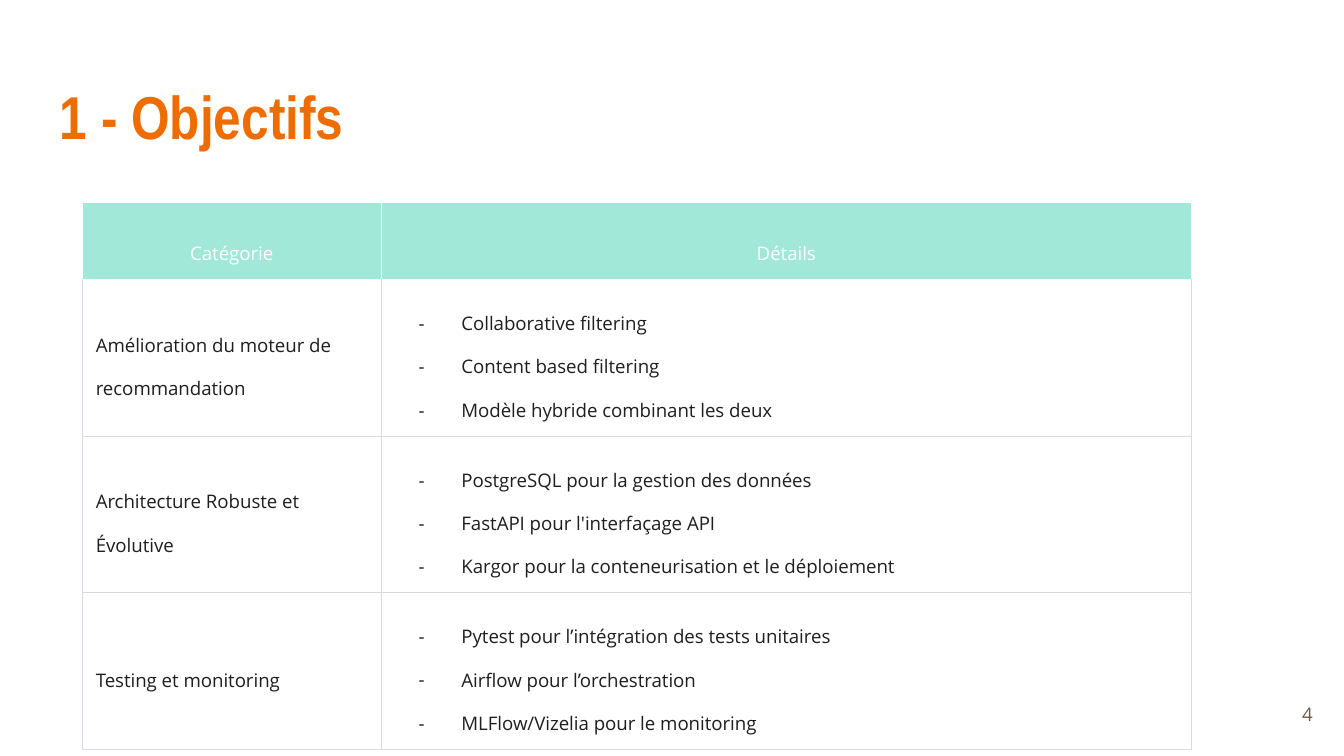
from dataclasses import dataclass
from lxml.etree import SubElement as Sub, Element as Elem
from pptx import Presentation
from pptx.dml.color import RGBColor as Rgb
from pptx.enum.text import MSO_ANCHOR as Anchor, PP_ALIGN as Align
from pptx.oxml.ns import qn
from pptx.util import Cm, Pt

COLORS = {
    "title": "EF6C00",
    "head": "A1E8D9",
    "white": "FFFFFF",
    "ink": "1F1F1F",
    "line": "D9D9E3",
    "page": "695D46",
}
FONT = "Open Sans"
PAD = Cm(0.25)


@dataclass
class Label:
    text: str
    box: tuple[float, float, float, float]
    size: float
    color: str
    font: str = FONT
    bold: bool = False
    align: Align = Align.LEFT


@dataclass
class Row:
    name: str
    items: list[str]


LABELS = [
    Label("1 - Objectifs", (0.88, 1.2, 23.67, 1.96), 32.4, "title",
          font="Arial Narrow", bold=True),
    Label("4", (23.54, 12.95, 1.52, 1.09), 10, "page", align=Align.RIGHT),
]
HEADS = ["Catégorie", "Détails"]
HEAD_H, ROW_H = 1.45, 2.96
WIDTHS = [5.64, 15.32]
ROWS = [
    Row("Amélioration du moteur de recommandation",
        ["Collaborative filtering", "Content based filtering",
         "Modèle hybride combinant les deux"]),
    Row("Architecture Robuste et Évolutive",
        ["PostgreSQL pour la gestion des données",
         "FastAPI pour l'interfaçage API",
         "Kargor pour la conteneurisation et le déploiement"]),
    Row("Testing et monitoring",
        ["Pytest pour l’intégration des tests unitaires",
         "Airflow pour l’orchestration",
         "MLFlow/Vizelia pour le monitoring"]),
]


def style(para, size: float, color: str, font: str = FONT,
          bold: bool = False) -> None:
    face = para.font
    face.size, face.name, face.bold = Pt(size), font, bold
    face.color.rgb = Rgb.from_string(COLORS[color])


def add_label(slide, label: Label) -> None:
    frame = slide.shapes.add_textbox(*map(Cm, label.box)).text_frame
    frame.word_wrap = True
    frame.vertical_anchor = Anchor.MIDDLE
    frame.margin_left = frame.margin_right = PAD
    frame.margin_top = frame.margin_bottom = PAD
    para = frame.paragraphs[0]
    para.text, para.alignment = label.text, label.align
    style(para, label.size, label.color, label.font, label.bold)


def add_dash(para) -> None:
    props = para._p.get_or_add_pPr()
    props.set("marL", str(Cm(1.27)))
    props.set("indent", str(-Cm(0.81)))
    tint = Sub(props, qn("a:buClr"))
    Sub(tint, qn("a:srgbClr"), val=COLORS["ink"])
    Sub(props, qn("a:buFont"), typeface=FONT)
    Sub(props, qn("a:buChar"), char="-")


def add_edges(cell, color: str, top: str) -> None:
    props = cell._tc.get_or_add_tcPr()
    for spot, side in enumerate("LRTB"):
        edge = Elem(qn(f"a:ln{side}"), w=str(Pt(0.5)))
        fill = Sub(edge, qn("a:solidFill"))
        tint = top if side == "T" else color
        Sub(fill, qn("a:srgbClr"), val=COLORS[tint])
        props.insert(spot, edge)


def fill_cell(cell, lines: list[str], head: bool = False,
              dash: bool = False, top: str = "line") -> None:
    cell.fill.solid()
    cell.fill.fore_color.rgb = Rgb.from_string(
        COLORS["head" if head else "white"])
    cell.vertical_anchor = Anchor.BOTTOM if head else Anchor.MIDDLE
    cell.margin_left = cell.margin_right = PAD
    cell.margin_top = cell.margin_bottom = PAD
    frame = cell.text_frame
    frame.text = "\n".join(lines)
    for para in frame.paragraphs:
        para.alignment = Align.CENTER if head else Align.LEFT
        para.line_spacing = 1.71
        style(para, 10, "white" if head else "ink")
        if dash:
            add_dash(para)
    add_edges(cell, "white" if head else "line", top)


def add_grid(slide) -> None:
    highs = [HEAD_H] + [ROW_H] * len(ROWS)
    grid = slide.shapes.add_table(
        len(highs), len(WIDTHS), Cm(1.56), Cm(3.83),
        Cm(sum(WIDTHS)), Cm(sum(highs))).table
    for col, width in zip(grid.columns, WIDTHS):
        col.width = Cm(width)
    for line, high in zip(grid.rows, highs):
        line.height = Cm(high)
    for c, text in enumerate(HEADS):
        fill_cell(grid.cell(0, c), [text], head=True, top="white")
    for r, row in enumerate(ROWS, 1):
        top = "white" if r == 1 else "line"
        fill_cell(grid.cell(r, 0), [row.name], top=top)
        fill_cell(grid.cell(r, 1), row.items, dash=True, top=top)


def main() -> None:
    deck = Presentation()
    deck.slide_width, deck.slide_height = Cm(25.4), Cm(14.29)
    slide = deck.slides.add_slide(deck.slide_layouts[6])
    # Title and page number
    for label in LABELS:
        add_label(slide, label)
    # Table of goals
    add_grid(slide)
    deck.save("out.pptx")


if __name__ == "__main__":
    main()
